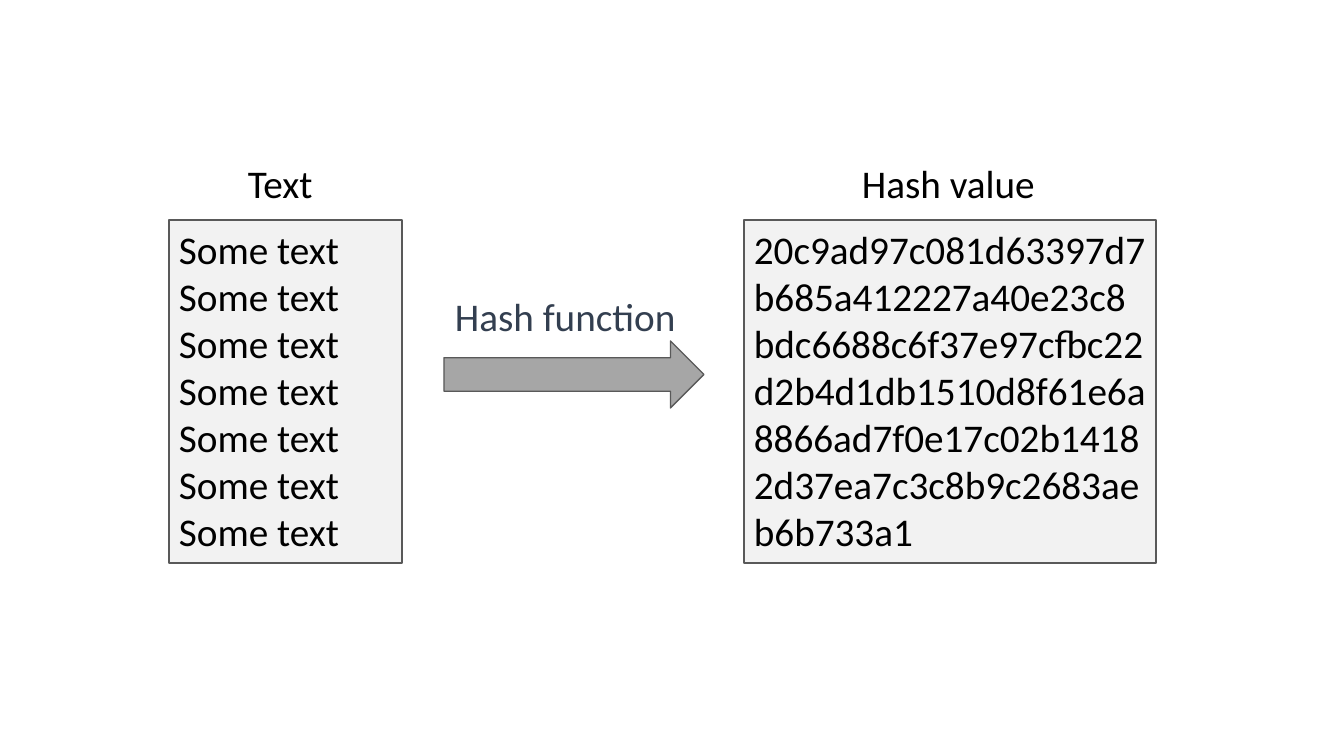
from pptx import Presentation
from pptx.dml.color import RGBColor
from pptx.enum.shapes import MSO_SHAPE
from pptx.enum.text import MSO_ANCHOR, PP_ALIGN
from pptx.util import Emu, Pt

RECT, ARROW = MSO_SHAPE.RECTANGLE, MSO_SHAPE.RIGHT_ARROW
LEFT, TOP = PP_ALIGN.LEFT, MSO_ANCHOR.TOP

DIGEST = ("20c9ad97c081d63397d7b685a412227a40e23c8bdc6688c6f37e97cfbc22"
          "d2b4d1db1510d8f61e6a8866ad7f0e17c02b14182d37ea7c3c8b9c2683aeb6b733a1")

# heading, heading width, box left, box width, paragraphs
PANELS = [
    ("Text", 95, 169, 233, ["Some text"] * 7),
    ("Hash value", 196, 744, 412, [DIGEST]),
]
STEP = "Hash function"

BOX_TOP, BOX_H = 220, 343
HEAD_TOP, HEAD_H = 154, 57
ARROW_AT = (444, 341, 260, 67)
STEP_AT = (445, 287, 250, HEAD_H)
BLACK, NAVY = "000000", "333F50"
PALE, GREY, EDGE = "F2F2F2", "A6A6A6", "595959"
FONT = {"name": "Calibri", "size": Pt(28)}


def px(n):
    return Emu(round(n * 914400 / 100.8))


def rgb(code):
    return RGBColor.from_string(code)


def write(shape, lines, color):
    frame = shape.text_frame
    frame.word_wrap = True
    frame.vertical_anchor = TOP
    frame.text = "\n".join(lines)
    for para in frame.paragraphs:
        para.alignment = LEFT
        for key, value in FONT.items():
            setattr(para.font, key, value)
        para.font.color.rgb = rgb(color)


def draw(shapes, kind, at, fill):
    shape = shapes.add_shape(kind, *map(px, at))
    shape.shadow.inherit = False
    shape.fill.solid()
    shape.fill.fore_color.rgb = rgb(fill)
    shape.line.color.rgb = rgb(EDGE)
    shape.line.width = Pt(1)
    return shape


def label(shapes, at, text, color):
    write(shapes.add_textbox(*map(px, at)), [text], color)


def main():
    deck = Presentation()
    deck.slide_width, deck.slide_height = px(1344), px(756)
    shapes = deck.slides.add_slide(deck.slide_layouts[6]).shapes

    for head, head_w, left, width, lines in PANELS:
        box = draw(shapes, RECT, (left, BOX_TOP, width, BOX_H), PALE)
        write(box, lines, BLACK)
        mid = left + (width - head_w) // 2
        label(shapes, (mid, HEAD_TOP, head_w, HEAD_H), head, BLACK)

    step = shapes.add_group_shape().shapes
    draw(step, ARROW, ARROW_AT, GREY)
    label(step, STEP_AT, STEP, NAVY)
    deck.save("out.pptx")


if __name__ == "__main__":
    main()
